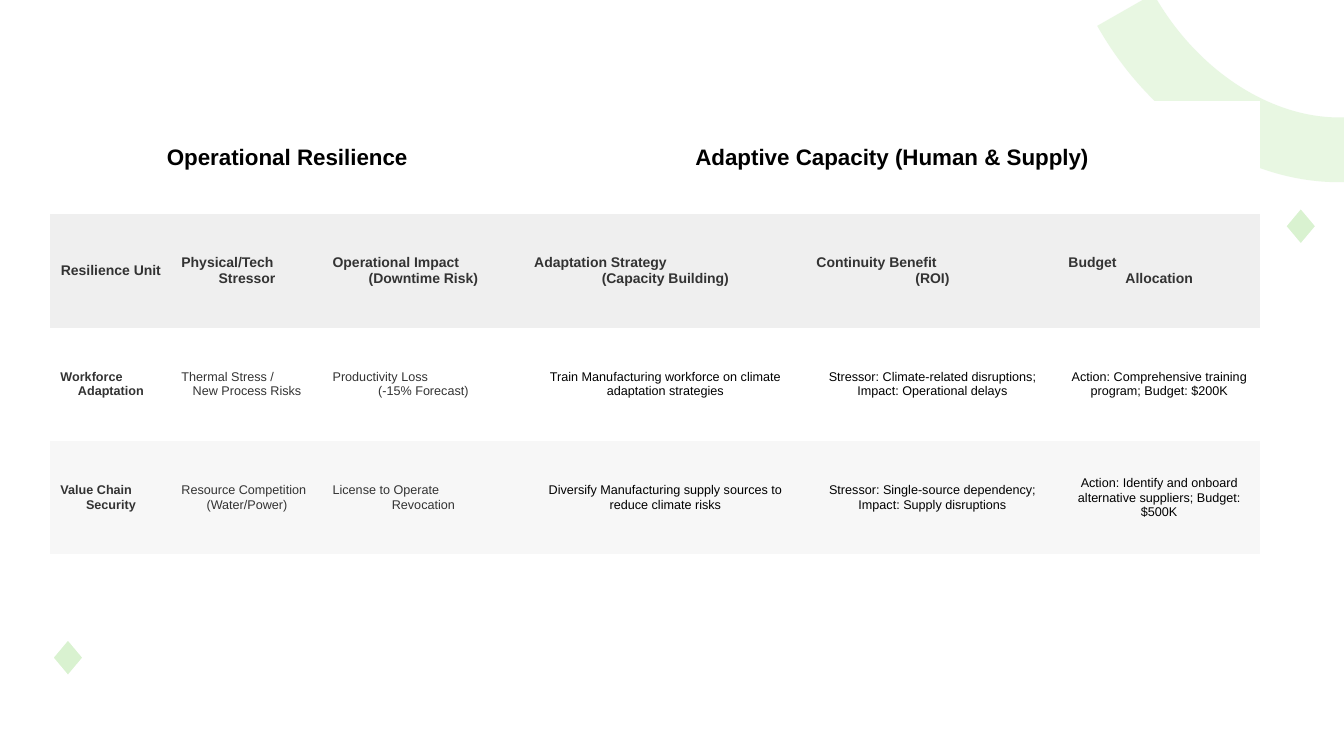
from pptx import Presentation
from pptx.dml import color
from pptx.enum import shapes, text
from pptx.oxml import ns
from pptx.util import Pt
from lxml import etree

HUES = {"mint": "D9F2D0", "white": "FFFFFF", "black": "000000",
        "ink": "333333", "head": "EFEFEF", "band": "F7F7F7"}
FONT = "Arial"
GROUPS = ["Operational Resilience", "Adaptive Capacity (Human & Supply)"]
SPAN = 3
HEADS = ["Resilience Unit", "Physical/Tech\nStressor",
         "Operational Impact\n(Downtime Risk)",
         "Adaptation Strategy\n(Capacity Building)",
         "Continuity Benefit\n(ROI)", "Budget\nAllocation"]
UNITS = [
    ["Workforce\nAdaptation", "Thermal Stress /\nNew Process Risks",
     "Productivity Loss\n(-15% Forecast)",
     "Train Manufacturing workforce on climate adaptation strategies",
     "Stressor: Climate-related disruptions; Impact: Operational delays",
     "Action: Comprehensive training program; Budget: $200K"],
    ["Value Chain\nSecurity", "Resource Competition\n(Water/Power)",
     "License to Operate\nRevocation",
     "Diversify Manufacturing supply sources to reduce climate risks",
     "Stressor: Single-source dependency; Impact: Supply disruptions",
     "Action: Identify and onboard alternative suppliers; Budget: $500K"],
]
WIDTHS = [86.4, 108, 144, 201.6, 180, 144]
ROW = 81
LEFT, TOP = 36, 72
GEMS = [(918, 148.3), (37.4, 456.5)]
GEM = (22.3, 26.6)
PLAIN = "{2D5ABB26-0587-4C30-8999-92F81FD0307C}"


def hue(name):
    return color.RGBColor.from_string(HUES[name])


def draw(slide, kind, *box):
    shape = slide.shapes.add_shape(kind, *map(Pt, box))
    shape.shadow.inherit = False
    return shape


def add_arc(slide):
    arc = draw(slide, shapes.MSO_SHAPE.ARC, 784.8, -243.4, 288, 357.8)
    arc.rotation = 151.3
    arc.adjustments[0] = 152.05
    arc.adjustments[1] = 215.37
    arc.fill.background()
    arc.line.width = Pt(46.25)
    arc.line.color.rgb = hue("mint")
    tint = arc.line._ln.find(".//" + ns.qn("a:srgbClr"))
    etree.SubElement(tint, ns.qn("a:alpha")).set("val", "60000")


def add_gem(slide, left, top):
    gem = draw(slide, shapes.MSO_SHAPE.DIAMOND, left, top, *GEM)
    gem.fill.solid()
    gem.fill.fore_color.rgb = hue("mint")
    gem.line.color.rgb = hue("white")
    gem.line.width = Pt(1.5)


def put(cell, words, size, bold, ink):
    cell.vertical_anchor = text.MSO_ANCHOR.MIDDLE
    para = cell.text_frame.paragraphs[0]
    para.alignment = text.PP_ALIGN.CENTER
    run = para.add_run()
    run.text = words
    run.font.name = FONT
    run.font.size = Pt(size)
    run.font.bold = bold
    run.font.color.rgb = hue(ink)


def add_grid(slide):
    fills = ["white", "head", "white", "band"]
    frame = slide.shapes.add_table(len(fills), len(WIDTHS), Pt(LEFT), Pt(TOP),
                                   Pt(sum(WIDTHS)), Pt(ROW * len(fills)))
    grid = frame.table
    grid.first_row = grid.horz_banding = False
    grid._tbl.tblPr.find(ns.qn("a:tableStyleId")).text = PLAIN
    for col, width in zip(grid.columns, WIDTHS):
        col.width = Pt(width)
    for r, fill in enumerate(fills):
        grid.rows[r].height = Pt(ROW)
        for c in range(len(WIDTHS)):
            cell = grid.cell(r, c)
            cell.fill.solid()
            cell.fill.fore_color.rgb = hue(fill)
    for g, name in enumerate(GROUPS):
        cell = grid.cell(0, g * SPAN)
        cell.merge(grid.cell(0, g * SPAN + SPAN - 1))
        put(cell, name, 16, True, "black")
    for c, name in enumerate(HEADS):
        put(grid.cell(1, c), name, 10, True, "ink")
    for r, unit in enumerate(UNITS, 2):
        for c, words in enumerate(unit):
            put(grid.cell(r, c), words, 9, c == 0,
                "ink" if c < SPAN else "black")


def main():
    deck = Presentation()
    deck.slide_width, deck.slide_height = Pt(960), Pt(540)
    slide = deck.slides.add_slide(deck.slide_layouts[6])
    add_arc(slide)
    for spot in GEMS:
        add_gem(slide, *spot)
    add_grid(slide)
    deck.save("out.pptx")


if __name__ == "__main__":
    main()
